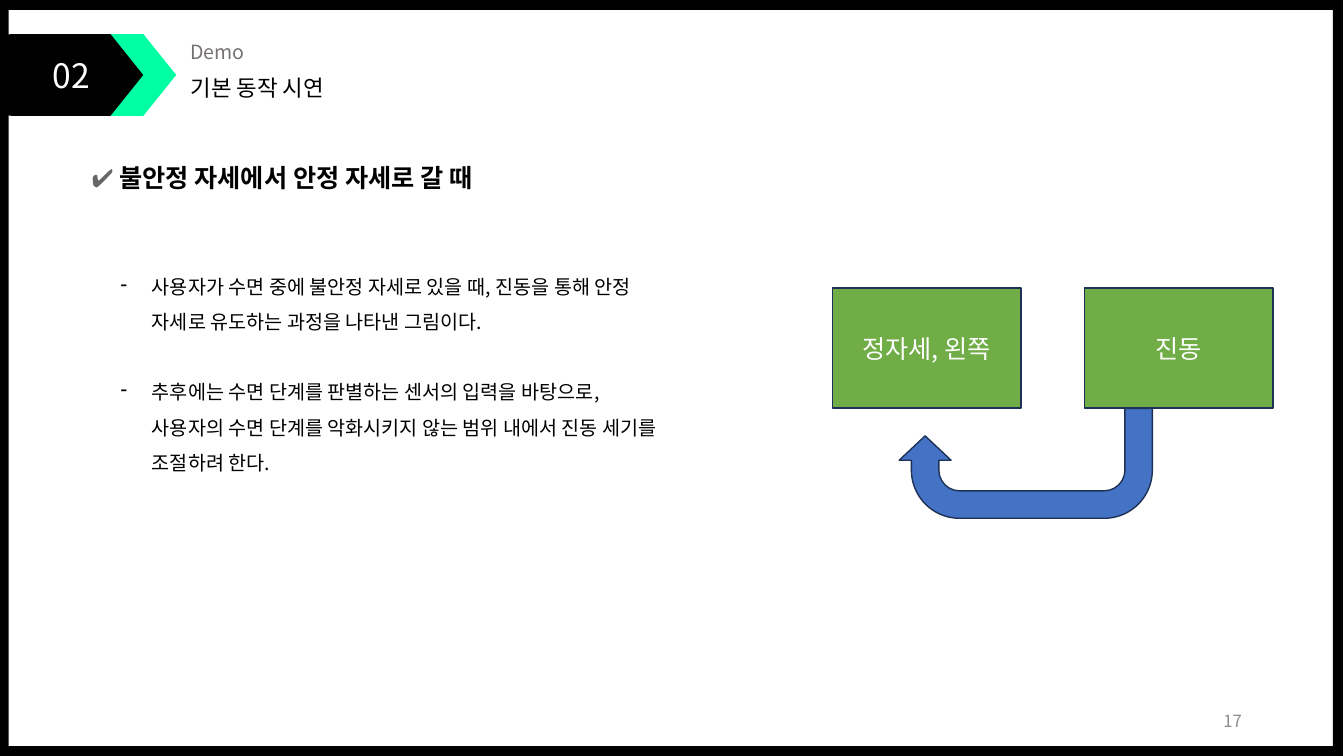
from lxml.etree import SubElement
from pptx import Presentation
from pptx.dml.color import RGBColor
from pptx.enum.shapes import MSO_SHAPE as SHAPE
from pptx.enum.text import MSO_ANCHOR as ANCHOR, MSO_AUTO_SIZE as AUTO, PP_ALIGN as ALIGN
from pptx.oxml.ns import qn
from pptx.util import Cm, Pt

COLORS = {
    "black": "000000", "white": "FFFFFF", "mint": "00FFA3", "green": "70AD47",
    "blue": "4472C4", "navy": "1E3256", "label": "767171", "check": "666666",
    "number": "8C8C8C",
}
FONT = "Noto Sans CJK KR"


def write(p, text, size=14, color="black", font=FONT, bold=False, align=ALIGN.LEFT):
    p.alignment = align
    r = p.add_run()
    r.text = text
    r.font.size = Pt(size)
    r.font.bold = bold
    r.font.name = font
    r.font.color.rgb = RGBColor.from_string(COLORS[color])
    SubElement(r._r.get_or_add_rPr(), qn("a:ea")).set("typeface", font)


def add_shape(shapes, kind, box, fill, line=None, adj=()):
    sp = shapes.add_shape(kind, *[Cm(v) for v in box])
    sp.shadow.inherit = False
    sp.fill.solid()
    sp.fill.fore_color.rgb = RGBColor.from_string(COLORS[fill])
    if line:
        sp.line.color.rgb = RGBColor.from_string(COLORS[line])
        sp.line.width = Pt(1)
    else:
        sp.line.fill.background()
    for i, value in enumerate(adj):
        sp.adjustments[i] = value
    sp.text_frame.vertical_anchor = ANCHOR.MIDDLE
    return sp


prs = Presentation()
prs.slide_width, prs.slide_height = Cm(33.87), Cm(19.05)
s = prs.slides.add_slide(prs.slide_layouts[5])

add_shape(s.shapes, SHAPE.FRAME, (-0.03, 0, 33.87, 19.05), "black", adj=[0.013])

title = s.shapes.title
title.left, title.top, title.width, title.height = Cm(4.55), Cm(1.75), Cm(8.64), Cm(0.94)
tf = title.text_frame
tf.auto_size = AUTO.NONE
tf.vertical_anchor = ANCHOR.TOP
write(tf.paragraphs[0], "기본 동작 시연", size=16)

frames = {}
for name, box in {
    "label": (4.55, 0.89, 2.82, 0.86),
    "number": (23.93, 17.65, 7.62, 1.02),
    "heading": (2.06, 3.96, 11.2, 1.02),
    "body": (2.79, 6.5, 14.15, 7.32),
}.items():
    frames[name] = s.shapes.add_textbox(*[Cm(v) for v in box]).text_frame
    frames[name].word_wrap = True

write(frames["label"].paragraphs[0], "Demo", color="label")

frames["number"].vertical_anchor = ANCHOR.MIDDLE
write(frames["number"].paragraphs[0], "17", size=12, color="number", align=ALIGN.RIGHT)

p = frames["heading"].paragraphs[0]
write(p, "✔ ", size=18, color="check", font="Calibri")
write(p, "불안정 자세에서 안정 자세로 갈 때", size=18, bold=True)

sp = add_shape(s.shapes, SHAPE.ROUNDED_RECTANGLE, (0, 0.86, 3.61, 2.06), "black", adj=[0.143])
write(sp.text_frame.paragraphs[0], "02", size=24, color="white", align=ALIGN.CENTER)
add_shape(s.shapes, SHAPE.CHEVRON, (2.79, 0.86, 1.65, 2.06), "mint")

tf = frames["body"]
for i, text in enumerate([
    "사용자가 수면 중에 불안정 자세로 있을 때, 진동을 통해 안정 자세로 유도하는 과정을 나타낸 그림이다.",
    "추후에는 수면 단계를 판별하는 센서의 입력을 바탕으로, 사용자의 수면 단계를 악화시키지 않는 범위 내에서 진동 세기를 조절하려 한다.",
]):
    p = tf.add_paragraph() if i else tf.paragraphs[0]
    write(p, text)
    p.line_spacing = 1.5
    p.space_before = Pt(25 * i)
    pPr = p._p.get_or_add_pPr()
    pPr.set("marL", str(Cm(0.79)))
    pPr.set("indent", str(-Cm(0.79)))
    SubElement(pPr, qn("a:buChar")).set("char", "-")

flow = s.shapes.add_group_shape().shapes
for i, text in enumerate(["정자세, 왼쪽", "진동"]):
    sp = add_shape(flow, SHAPE.RECTANGLE, (20.98 + 6.35 * i, 7.26, 4.75, 3.02), "green", "navy")
    write(sp.text_frame.paragraphs[0], text, size=18, color="white", align=ALIGN.CENTER)
arrow = add_shape(flow, SHAPE.U_TURN_ARROW, (22.66, 10.29, 6.38, 2.77), "blue", "navy",
                  adj=[0.25, 0.236, 0.222, 0.438, 0.75])
arrow.rotation = 180

prs.save("out.pptx")
